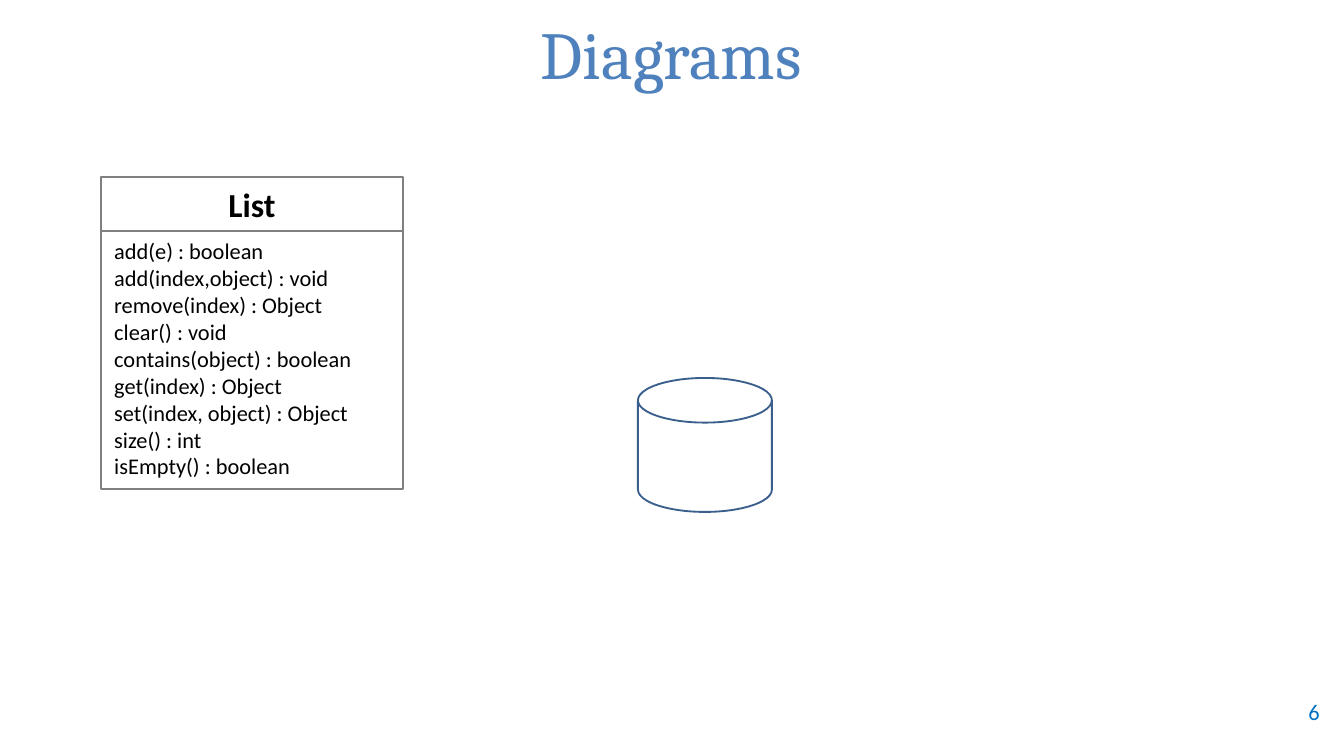
import pptx
import pptx.dml.color
import pptx.enum.shapes
import pptx.enum.text
import pptx.util

PX = 914400 / 134.4
COLORS = {"title": "4F81BD", "number": "0070C0", "text": "000000",
          "frame": "808080", "disk": "3A5F8C"}
KIND = pptx.enum.shapes.MSO_SHAPE
ALIGN = pptx.enum.text.PP_ALIGN
ANCHOR = pptx.enum.text.MSO_ANCHOR


def write(shape, lines, size, color, align, anchor, face="Calibri", bold=False):
    """Fill a shape with one evenly styled paragraph per line."""
    frame = shape.text_frame
    frame.word_wrap = True
    frame.vertical_anchor = anchor
    frame.text = "\n".join(lines)
    for para in frame.paragraphs:
        para.alignment = align
        para.font.name = face
        para.font.size = pptx.util.Pt(size)
        para.font.bold = bold
        para.font.color.rgb = pptx.dml.color.RGBColor.from_string(COLORS[color])


def outline(parent, kind, box, color, width):
    """Add an unfilled shape with a plain line."""
    shape = parent.add_shape(kind, *(round(v * PX) for v in box))
    shape.shadow.inherit = False
    shape.fill.background()
    shape.line.color.rgb = pptx.dml.color.RGBColor.from_string(COLORS[color])
    shape.line.width = pptx.util.Pt(width)
    return shape


deck = pptx.Presentation()
deck.slide_width = round(1344 * PX)
deck.slide_height = round(756 * PX)
slide = deck.slides.add_slide(deck.slide_layouts[5])

# Title and page number
title = slide.shapes.title
title.left, title.top, title.width, title.height = (
    round(v * PX) for v in (11, 8, 1321, 90))
write(title, ["Diagrams"], 36, "title", ALIGN.CENTER, ANCHOR.MIDDLE, "Cambria")

number = slide.shapes.add_textbox(*(round(v * PX) for v in (1243, 692, 90, 40)))
write(number, ["6"], 12, "number", ALIGN.RIGHT, ANCHOR.MIDDLE)

# Class box: methods below, name on top
methods = [
    "add(e) : boolean",
    "add(index,object) : void",
    "remove(index) : Object",
    "clear() : void",
    "contains(object) : boolean",
    "get(index) : Object",
    "set(index, object) : Object",
    "size() : int",
    "isEmpty() : boolean",
]
left, top, width, head = 101, 177, 302, 54
group = slide.shapes.add_group_shape().shapes
body = outline(group, KIND.RECTANGLE, (left, top + head, width, 258), "frame", 0.75)
write(body, methods, 12, "text", ALIGN.LEFT, ANCHOR.TOP)
name = outline(group, KIND.RECTANGLE, (left, top, width, head), "frame", 0.75)
write(name, ["List"], 18, "text", ALIGN.CENTER, ANCHOR.TOP, bold=True)

# Data store
outline(slide.shapes, KIND.FLOWCHART_MAGNETIC_DISK, (638, 378, 134, 134), "disk", 1)

deck.save("out.pptx")
